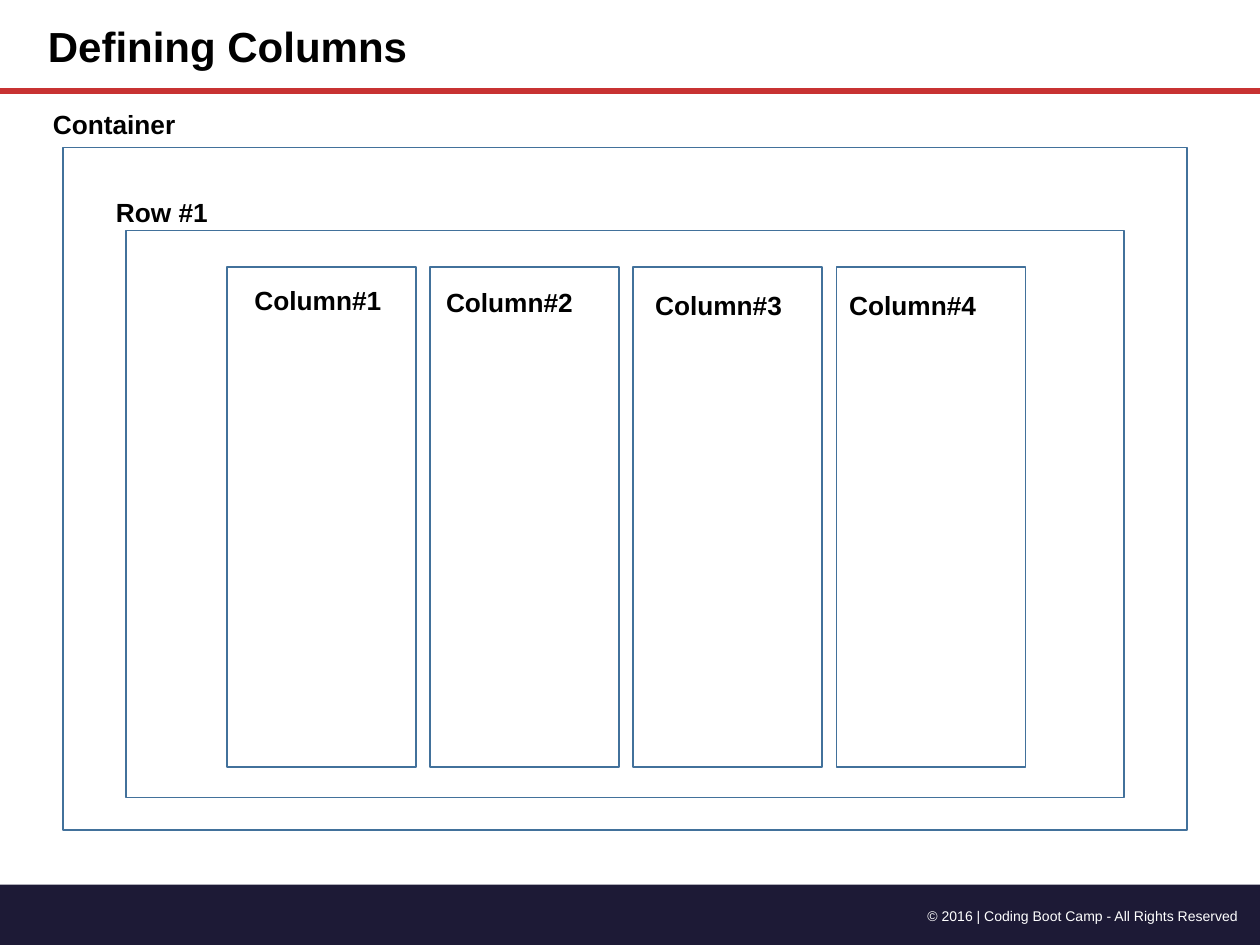
import pptx
import pptx.util
import pptx.dml.color
import pptx.enum.shapes
import pptx.enum.text
import pptx.oxml.ns
from lxml import etree

Inches = pptx.util.Inches
Pt = pptx.util.Pt
Align = pptx.enum.text.PP_ALIGN


def color(code):
    return pptx.dml.color.RGBColor.from_string(code)


class Page:
    font = "Arial"
    ink = "000000"
    edge = "42719B"
    inset = 0.05

    def __init__(self, deck):
        self.slide = deck.slides.add_slide(deck.slide_layouts[5])
        self.shapes = self.slide.shapes

    def fill_text(self, shape, text, size, bold=True, ink=ink, align=Align.LEFT):
        frame = shape.text_frame
        frame.text = text
        frame.word_wrap = True
        frame.auto_size = pptx.enum.text.MSO_AUTO_SIZE.NONE
        frame.vertical_anchor = pptx.enum.text.MSO_ANCHOR.TOP
        frame.margin_left = frame.margin_right = Inches(self.inset)
        frame.margin_top = frame.margin_bottom = Inches(self.inset)
        para = frame.paragraphs[0]
        para.alignment = align
        para.font.name = self.font
        para.font.size = Pt(size)
        para.font.bold = bold
        para.font.color.rgb = color(ink)

    def title(self, text, x, y, w, h):
        shape = self.shapes.title
        shape.left, shape.top = Inches(x), Inches(y)
        shape.width, shape.height = Inches(w), Inches(h)
        self.fill_text(shape, text, 24)

    def label(self, text, x, y, w, h=0.33, size=15, **style):
        box = self.shapes.add_textbox(Inches(x), Inches(y), Inches(w), Inches(h))
        self.fill_text(box, text, size, **style)

    def rect(self, x, y, w, h, fill=None):
        kind = pptx.enum.shapes.MSO_SHAPE.RECTANGLE
        shape = self.shapes.add_shape(kind, Inches(x), Inches(y), Inches(w), Inches(h))
        shape.shadow.inherit = False
        if fill:
            shape.fill.solid()
            shape.fill.fore_color.rgb = color(fill)
            shape.line.fill.background()
        else:
            shape.fill.background()
            shape.line.color.rgb = color(self.edge)
            shape.line.width = Pt(1)

    def rule(self, x1, y1, x2, y2, ink, width):
        kind = pptx.enum.shapes.MSO_CONNECTOR.STRAIGHT
        line = self.shapes.add_connector(
            kind, Inches(x1), Inches(y1), Inches(x2), Inches(y2))
        line.line.color.rgb = color(ink)
        line.line.width = Pt(width)
        props = line._element.spPr
        etree.SubElement(props, pptx.oxml.ns.qn("a:effectLst"))


def main():
    deck = pptx.Presentation()
    deck.slide_width, deck.slide_height = Inches(10), Inches(7.5)
    page = Page(deck)

    # Footer bar and header
    page.rect(0, 7.02, 10, 0.48, fill="1D1A36")
    page.label("© 2016 | Coding Boot Camp - All Rights Reserved",
               6.83, 7.15, 3.05, 0.22, size=8, bold=False,
               ink="FFFFFF", align=Align.RIGHT)
    page.rule(0, 0.72, 10, 0.72, "C83232", 3.25)
    page.title("Defining Columns", 0.33, 0.11, 5.58, 0.48)

    # Container and row
    page.rect(0.5, 1.17, 8.92, 5.42)
    page.label("Container", 0.37, 0.81, 5.58)
    page.rect(1, 1.83, 7.92, 4.5)
    page.label("Row #1", 0.87, 1.51, 5.58)

    # Columns at an even pitch, each with its label
    left, last = 1.8, 6.64
    pitch = (last - left) / 3
    spots = [(1.97, 2.21), (3.49, 2.22), (5.15, 2.25), (6.69, 2.25)]
    for i, (x, y) in enumerate(spots):
        page.rect(left + i * pitch, 2.12, 1.5, 3.97)
        page.label(f"Column#{i + 1}", x, y, 1.24)

    deck.save("out.pptx")


if __name__ == "__main__":
    main()
